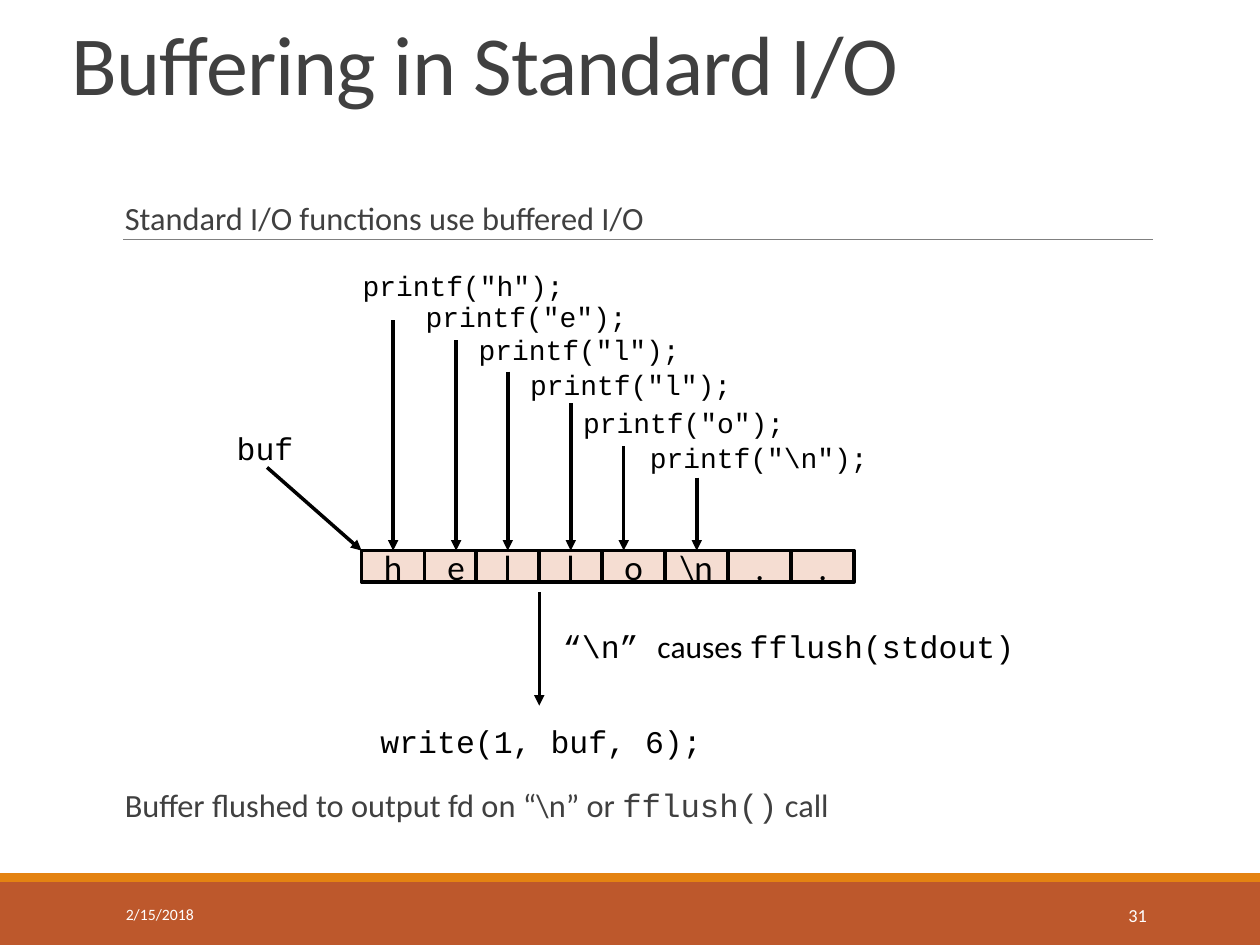
from pptx import Presentation
from pptx.dml.color import RGBColor
from pptx.enum.shapes import MSO_CONNECTOR, MSO_SHAPE
from pptx.enum.text import MSO_ANCHOR, PP_ALIGN
from pptx.oxml.ns import qn
from pptx.util import Inches, Pt
from lxml import etree

RECT = MSO_SHAPE.RECTANGLE
LINE = MSO_CONNECTOR.STRAIGHT
TOP, MID, LOW = MSO_ANCHOR.TOP, MSO_ANCHOR.MIDDLE, MSO_ANCHOR.BOTTOM
LEFT, MEAN, RIGHT = PP_ALIGN.LEFT, PP_ALIGN.CENTER, PP_ALIGN.RIGHT

THEME = {
    "ink": RGBColor.from_string("000000"),
    "grey": RGBColor.from_string("404040"),
    "rule": RGBColor.from_string("808080"),
    "white": RGBColor.from_string("FFFFFF"),
    "rust": RGBColor.from_string("BD582C"),
    "gold": RGBColor.from_string("E48312"),
    "pale": RGBColor.from_string("F5DDD2"),
    "sans": "Calibri", "mono": "Courier New",
    "title": 48, "body": 18.5, "cell": 20, "call": 16, "note": 18,
    "date": 9, "page": 10.5, "thick": 2, "thin": 0.5,
}
SANS, MONO = THEME["sans"], THEME["mono"]

deck = Presentation()
deck.slide_width, deck.slide_height = Inches(10), Inches(7.5)
COL, ROW = deck.slide_width / 100, deck.slide_height / 75
slide = deck.slides.add_slide(deck.slide_layouts[6])
shapes = slide.shapes


def write(box, runs, size, ink="ink", side=LEFT, anchor=TOP, wrap=False):
    frame = box.text_frame
    frame.word_wrap = wrap
    frame.vertical_anchor = anchor
    para = frame.paragraphs[0]
    para.alignment = side
    for words, face in runs:
        run = para.add_run()
        run.text = words
        run.font.name = face
        run.font.size = Pt(THEME[size])
        run.font.color.rgb = THEME[ink]
    return frame


def draw(x1, y1, x2, y2, ink="ink", width="thick", head=True):
    line = shapes.add_connector(
        LINE, round(x1 * COL), round(y1 * ROW), round(x2 * COL), round(y2 * ROW))
    line.line.width = Pt(THEME[width])
    line.line.color.rgb = THEME[ink]
    props = line.element.spPr
    if head:
        etree.SubElement(props.find(qn("a:ln")), qn("a:tailEnd"), type="triangle")
    etree.SubElement(props, qn("a:effectLst"))
    return line


for y, high, fill in [(70, 5, "rust"), (69.3, 0.7, "gold")]:
    band = shapes.add_shape(RECT, 0, round(y * ROW), deck.slide_width, round(high * ROW))
    band.shadow.inherit = False
    band.fill.solid()
    band.fill.fore_color.rgb = THEME[fill]
    band.line.fill.background()
draw(9.8, 19, 91.5, 19, "rule", "thin", False)

title = shapes.add_textbox(round(4.7 * COL), round(1.1 * ROW), 83 * COL, round(8.3 * ROW))
frame = write(title, [("Buffering in Standard I/O", SANS)], "title", "grey", LEFT, LOW, True)
frame.paragraphs[0].line_spacing = 0.85
for props in title.element.iter(qn("a:rPr")):
    props.set("spc", "-50")

points = [
    (15.8, [("Standard I/O functions use buffered I/O", SANS)]),
    (62.4, [("Buffer flushed to output fd on “\\n” or ", SANS),
            ("fflush()", MONO), (" call", SANS)]),
]
for y, runs in points:
    box = shapes.add_textbox(round(9.9 * COL), round(y * ROW), round(81.5 * COL), 4 * ROW)
    frame = write(box, runs, "body", "grey", wrap=True)
    frame.margin_left = frame.margin_right = 0
    frame.paragraphs[0].line_spacing = 0.8

for x, wide, words, size, side in [
    (9, 20.3, "2/15/2018", "date", LEFT),
    (81.2, 10.8, "31", "page", RIGHT),
]:
    box = shapes.add_textbox(
        round(x * COL), round(70.6 * ROW), round(wide * COL), 4 * ROW)
    write(box, [(words, SANS)], size, "white", side, MID, True)

START, STEP, SHELF = 28.7, 5, 43.7
cells = []
for i, sign in enumerate(["h", "e", "l", "l", "o", "\\n", ".", "."]):
    x = START + STEP * i - (0.9 if i > 1 else 0)
    cell = shapes.add_shape(
        RECT, round(x * COL), round(SHELF * ROW), round(STEP * COL), round(2.5 * ROW))
    cell.shadow.inherit = False
    cell.fill.solid()
    cell.fill.fore_color.rgb = THEME["pale"]
    cell.line.color.rgb = THEME["ink"]
    cell.line.width = Pt(THEME["thick"])
    write(cell, [(sign, SANS)], "cell", "ink", MEAN, MID)
    cells.append(cell)

calls = [
    ("h", 27.8, 20.8, 31.2, 25.4),
    ("e", 32.8, 23.3, 36.2, 27),
    ("l", 37, 25.9, 40.3, 29.5),
    ("l", 41.1, 28.7, 45.3, 32),
    ("o", 45.3, 31.7, 49.5, 35.4),
    ("\\n", 50.6, 34.5, 55.3, 37.9),
]
for cell, (sign, x, y, stem, top) in zip(cells, calls):
    wide = 18.1 if len(sign) == 1 else 19.4
    box = shapes.add_textbox(
        round(x * COL), round(y * ROW), round(wide * COL), round(3.7 * ROW))
    write(box, [(f'printf("{sign}");', MONO)], "call")
    arrow = draw(stem, top, stem, SHELF)
    if sign != "o":
        arrow.end_connect(cell, 0)

draw(21.2, 37.1, START, SHELF)
draw(42.8, 47, 42.8, 56)

notes = [
    (17.8, 33.6, 6.5, [("buf", MONO)], LEFT),
    (43.7, 49.3, 39, [("“\\n” ", MONO), ("causes ", SANS), ("fflush(stdout)", MONO)], LEFT),
    (29.1, 56.8, 27.7, [("write(1, buf, 6);", MONO)], MEAN),
]
for x, y, wide, runs, side in notes:
    box = shapes.add_textbox(round(x * COL), round(y * ROW), round(wide * COL), 4 * ROW)
    write(box, runs, "note", side=side)

deck.save("out.pptx")
